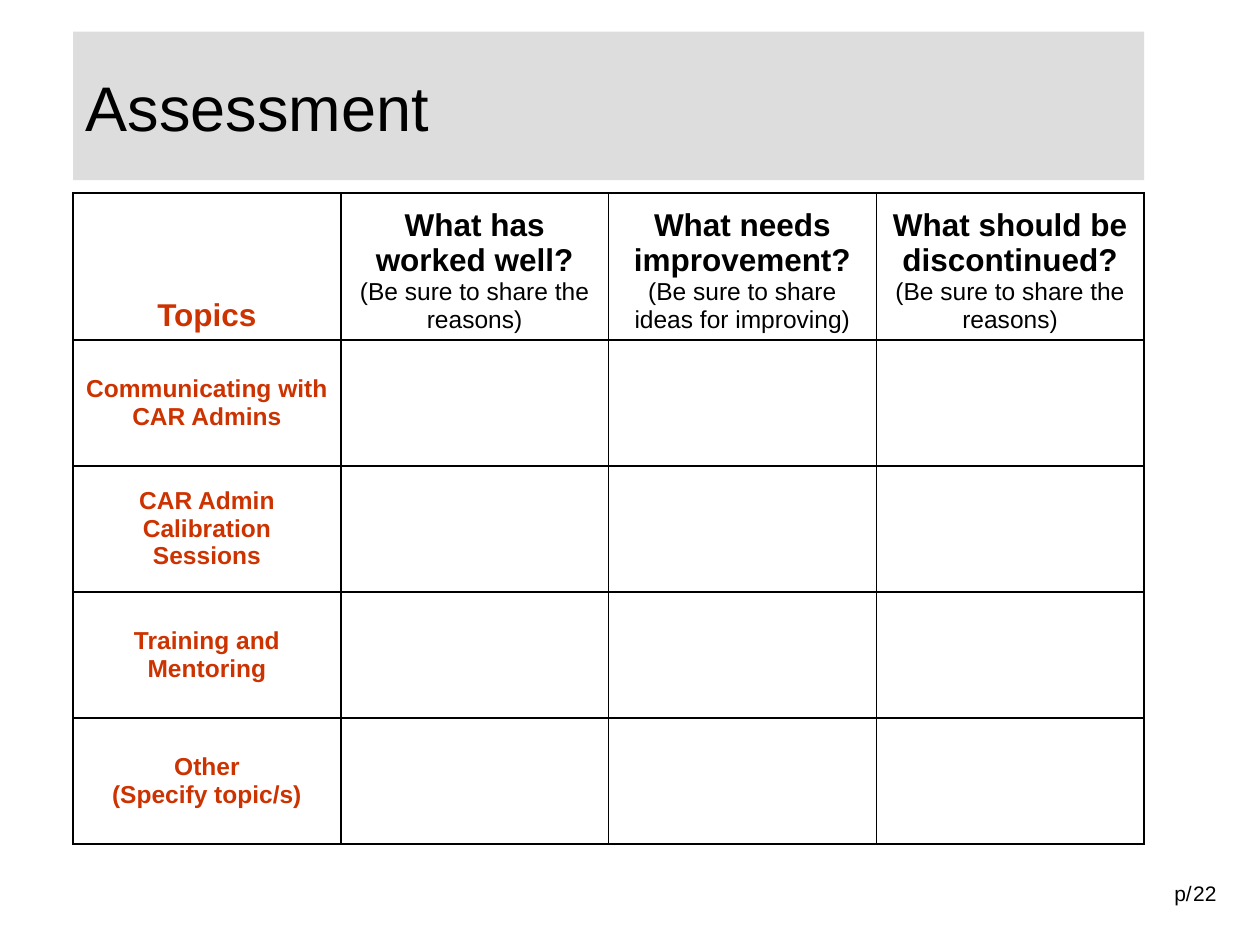
from lxml import etree
from pptx import Presentation, util as u
from pptx.dml.color import RGBColor
from pptx.enum import text
from pptx.oxml.ns import qn

COLORS = {"ink": "000000", "topic": "CC3300", "band": "DDDDDD"}
LEFT, WIDTH = 0.58, 8.5
HEADER_ROW, TOPIC_ROW = 1.1, 1.0

headings = [
    ("What has worked well?", "(Be sure to share the reasons)"),
    ("What needs improvement?", "(Be sure to share ideas for improving)"),
    ("What should be discontinued?", "(Be sure to share the reasons)"),
]
topics = [
    ["Communicating with CAR Admins"],
    ["CAR Admin Calibration Sessions"],
    ["Training and Mentoring"],
    ["Other", "(Specify topic/s)"],
]


def add_text(paragraph, words, size, color="ink", bold=False):
    run = paragraph.add_run()
    run.text = words
    run.font.name = "Arial"
    run.font.size = u.Pt(size)
    run.font.bold = bold
    run.font.color.rgb = RGBColor.from_string(COLORS[color])


def fill_cell(cell, lines, anchor):
    cell.vertical_anchor = anchor
    for i, line in enumerate(lines):
        frame = cell.text_frame
        paragraph = frame.add_paragraph() if i else frame.paragraphs[0]
        paragraph.alignment = text.PP_ALIGN.CENTER
        add_text(paragraph, *line)


deck = Presentation()
deck.slide_width, deck.slide_height = u.Inches(10), u.Inches(7.5)
slide = deck.slides.add_slide(deck.slide_layouts[5])

# Page number
for left, width, words in [(9.32, 0.14, "p/"), (9.47, 0.2, "22")]:
    page = slide.shapes.add_textbox(
        u.Inches(left), u.Inches(6.99), u.Inches(width), u.Inches(0.2)).text_frame
    page.margin_left = page.margin_right = page.margin_top = page.margin_bottom = 0
    page.word_wrap = False
    add_text(page.paragraphs[0], words, 12)

# Title band
title = slide.shapes.title
title.left, title.top = u.Inches(LEFT), u.Inches(0.25)
title.width, title.height = u.Inches(WIDTH), u.Inches(1.18)
title.fill.solid()
title.fill.fore_color.rgb = RGBColor.from_string(COLORS["band"])
title.text_frame.vertical_anchor = text.MSO_ANCHOR.MIDDLE
title.text_frame.paragraphs[0].alignment = text.PP_ALIGN.LEFT
add_text(title.text_frame.paragraphs[0], "Assessment", 36)

# Assessment grid
rows, cols = len(topics) + 1, len(headings) + 1
grid = slide.shapes.add_table(
    rows, cols, u.Inches(LEFT), u.Inches(1.53), u.Inches(WIDTH),
    u.Inches(HEADER_ROW + TOPIC_ROW * len(topics))).table
grid.first_row = grid.horz_banding = False
for column in grid.columns:
    column.width = u.Inches(WIDTH / cols)
for r, row in enumerate(grid.rows):
    row.height = u.Inches(TOPIC_ROW if r else HEADER_ROW)

# Header row and topic column
fill_cell(grid.cell(0, 0), [("Topics", 18, "topic", True)], text.MSO_ANCHOR.BOTTOM)
for c, (question, hint) in enumerate(headings, 1):
    fill_cell(grid.cell(0, c), [(question, 18, "ink", True), (hint, 14)],
              text.MSO_ANCHOR.BOTTOM)
for r, topic in enumerate(topics, 1):
    fill_cell(grid.cell(r, 0), [(line, 14, "topic", True) for line in topic],
              text.MSO_ANCHOR.MIDDLE)

# Cell borders, which come before the fill in the cell properties
for cell in grid.iter_cells():
    properties = cell._tc.get_or_add_tcPr()
    for side in ("a:lnL", "a:lnR", "a:lnT", "a:lnB"):
        border = etree.SubElement(properties, qn(side), w=str(u.Pt(1)))
        solid = etree.SubElement(border, qn("a:solidFill"))
        etree.SubElement(solid, qn("a:srgbClr"), val=COLORS["ink"])
    cell.fill.background()

deck.save("out.pptx")
